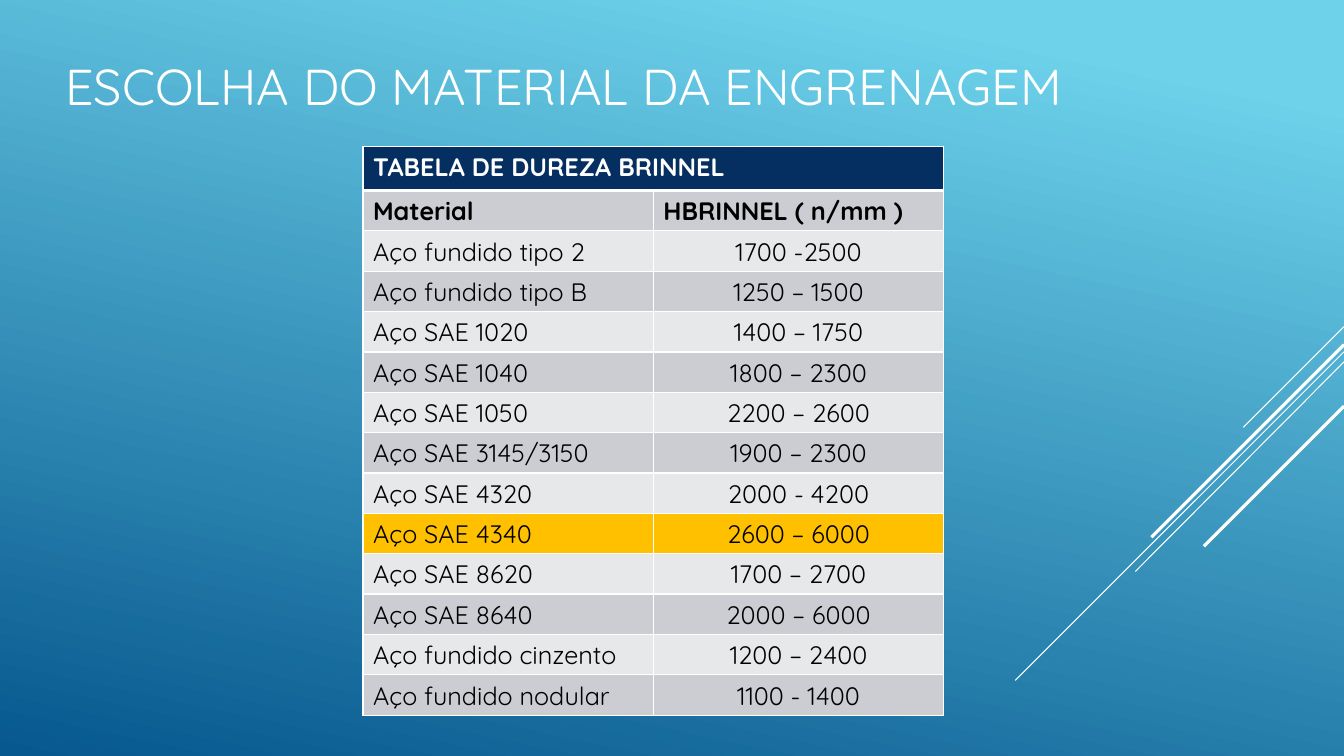
import pptx
import pptx.util
import pptx.oxml
import pptx.oxml.ns
import pptx.dml.color
import pptx.enum.shapes
import pptx.enum.text
from pptx.util import Inches

# Content
TITLE = "ESCOLHA DO MATERIAL DA ENGRENAGEM"
HEADER = "TABELA DE DUREZA BRINNEL"
ROWS = [
    ("Material", "HBRINNEL ( n∕mm )"),
    ("Aço fundido tipo 2", "1700 -2500"),
    ("Aço fundido tipo B", "1250 – 1500"),
    ("Aço SAE 1020", "1400 – 1750"),
    ("Aço SAE 1040", "1800 – 2300"),
    ("Aço SAE 1050", "2200 – 2600"),
    ("Aço SAE 3145∕3150", "1900 – 2300"),
    ("Aço SAE 4320", "2000 - 4200"),
    ("Aço SAE 4340", "2600 – 6000"),
    ("Aço SAE 8620", "1700 – 2700"),
    ("Aço SAE 8640", "2000 – 6000"),
    ("Aço fundido cinzento", "1200 – 2400"),
    ("Aço fundido nodular", "1100 - 1400"),
]
CHOSEN = "Aço SAE 4340"

# Diagonal lines: start y at the right edge, end x, end y, width in points
LINES = [
    (3.24, 12.33, 4.24, 0.75),
    (3.49, 10.07, 6.75, 0.75),
    (3.59, 11.26, 5.67, 0.75),
    (3.42, 11.42, 5.33, 2.25),
    (4.03, 11.94, 5.42, 2.25),
]
FONT = "Quicksand"
COLORS = {
    "sky": "6ED2EB", "deep": "06588E", "white": "FFFFFF", "black": "000000",
    "navy": "052F61", "dark": "CCCDD2", "light": "E7E8EA", "gold": "FFC000",
}
WIDTH, HEIGHT = 13.33, 7.5
HEAD_H, ROW_H, COL_W = 0.44, 0.4, 2.88


def color(name):
    return pptx.dml.color.RGBColor.from_string(COLORS[name])


def style(frame, size, name, bold=False):
    for run in frame.paragraphs[0].runs:
        run.font.name = FONT
        run.font.size = pptx.util.Pt(size)
        run.font.bold = bold
        run.font.color.rgb = color(name)


def border(cell, top, bottom):
    props = cell._tc.get_or_add_tcPr()
    for side, width in (("L", 1), ("R", 1), ("T", top), ("B", bottom)):
        props.append(pptx.oxml.parse_xml(
            f'<a:ln{side} {pptx.oxml.ns.nsdecls("a")} w="{width * 12700}">'
            f'<a:solidFill><a:srgbClr val="{COLORS["white"]}"/></a:solidFill>'
            f'</a:ln{side}>'))


def fill_cell(cell, text, fill, ink, bold, center, top=1, bottom=1):
    border(cell, top, bottom)
    cell.fill.solid()
    cell.fill.fore_color.rgb = color(fill)
    cell.text_frame.text = text
    align = pptx.enum.text.PP_ALIGN
    cell.text_frame.paragraphs[0].alignment = align.CENTER if center else align.LEFT
    style(cell.text_frame, 18, ink, bold)


def add_lines(slide):
    for start, x, y, width in LINES:
        line = slide.shapes.add_connector(
            pptx.enum.shapes.MSO_CONNECTOR.STRAIGHT,
            Inches(WIDTH), Inches(start), Inches(x), Inches(y))
        line.line.color.rgb = color("white")
        line.line.width = pptx.util.Pt(width)
        line._element.spPr.append(
            pptx.oxml.parse_xml(f'<a:effectLst {pptx.oxml.ns.nsdecls("a")}/>'))


def add_title(slide):
    box = slide.shapes.add_textbox(
        Inches(0.55), Inches(0.02), Inches(10.54), Inches(1.65))
    frame = box.text_frame
    frame.word_wrap = True
    frame.vertical_anchor = pptx.enum.text.MSO_ANCHOR.MIDDLE
    frame.text = TITLE
    style(frame, 36, "white")


def add_grid(slide):
    count = len(ROWS)
    table = slide.shapes.add_table(
        count + 1, 2, Inches(3.6), Inches(1.45),
        Inches(2 * COL_W), Inches(HEAD_H + count * ROW_H)).table
    for col in table.columns:
        col.width = Inches(COL_W)
    for i, row in enumerate(table.rows):
        row.height = Inches(ROW_H if i else HEAD_H)

    # Header across both columns
    for j, text in enumerate((HEADER, "")):
        fill_cell(table.cell(0, j), text, "navy", "white", True, False, bottom=3)
    table.cell(0, 0).merge(table.cell(0, 1))

    # Banded rows, with the chosen material in gold
    for i, row in enumerate(ROWS):
        fill = "gold" if row[0] == CHOSEN else ("dark", "light")[i % 2]
        for j, text in enumerate(row):
            fill_cell(table.cell(i + 1, j), text, fill, "black", i == 0,
                      i > 0 and j == 1, top=1 if i else 3)


def main():
    deck = pptx.Presentation()
    deck.slide_width, deck.slide_height = Inches(WIDTH), Inches(HEIGHT)
    slide = deck.slides.add_slide(deck.slide_layouts[6])

    # Background gradient
    back = slide.background.fill
    back.gradient()
    back.gradient_angle = 360 - 102
    for stop, (name, place) in zip(back.gradient_stops, (("sky", 0.1), ("deep", 1))):
        stop.color.rgb = color(name)
        stop.position = place

    add_lines(slide)
    add_title(slide)
    add_grid(slide)
    deck.save("out.pptx")


if __name__ == "__main__":
    main()
